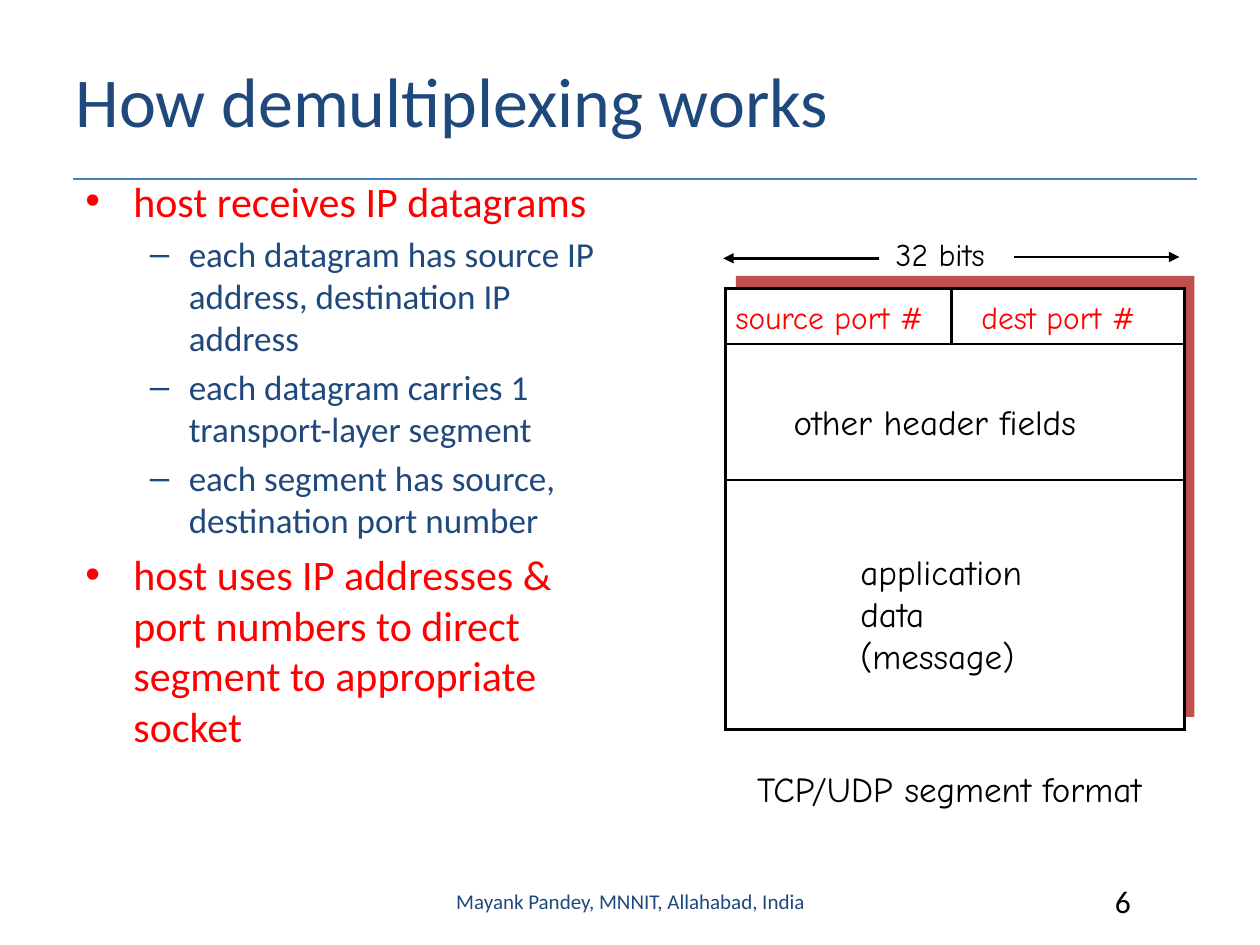
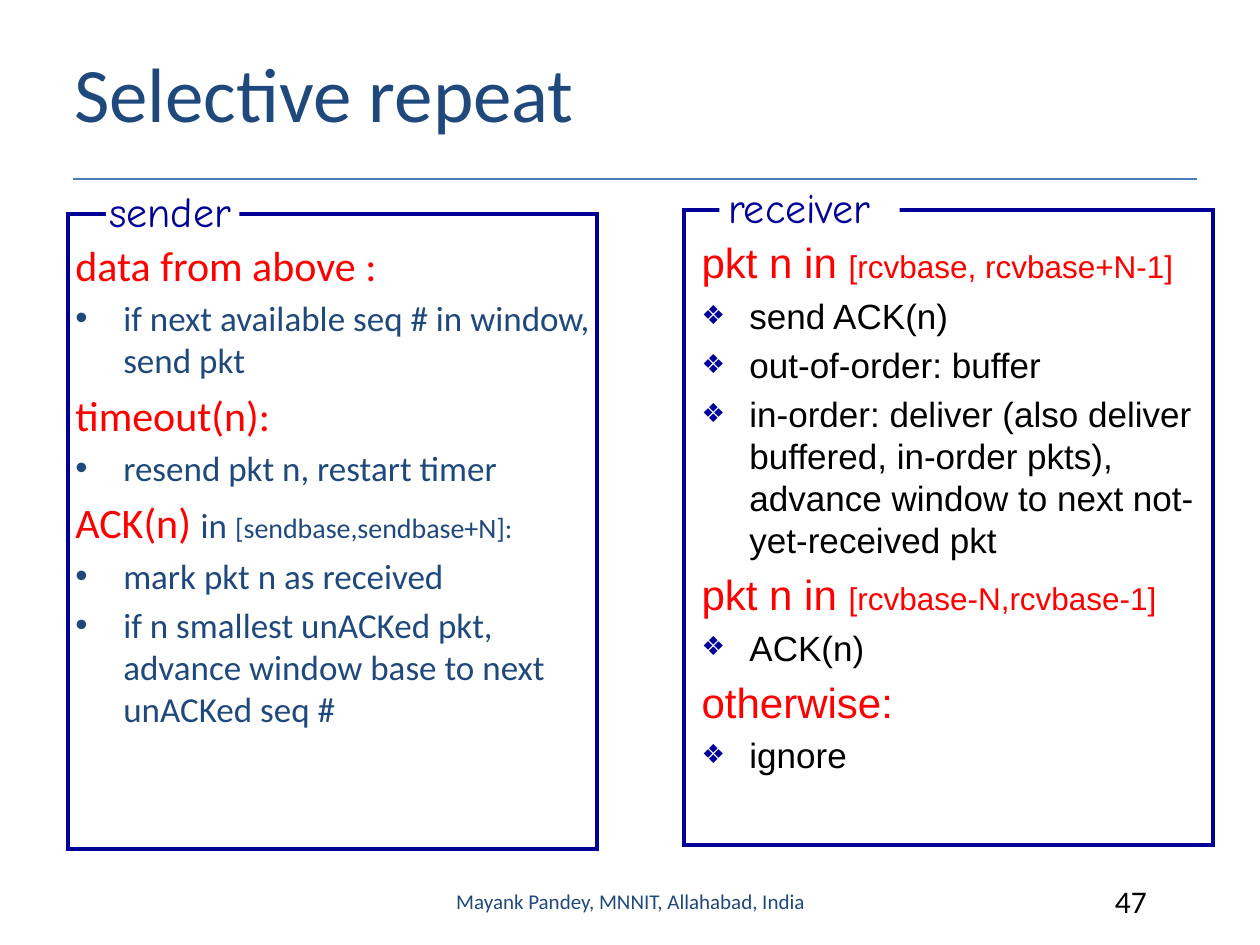
from lxml.etree import SubElement
from pptx import Presentation
from pptx.dml.color import RGBColor
from pptx.enum.shapes import MSO_CONNECTOR, MSO_SHAPE
from pptx.enum.text import MSO_ANCHOR as Anchor, MSO_AUTO_SIZE as AutoSize, PP_ALIGN as Align
from pptx.oxml.ns import qn
from pptx.util import Emu, Pt

PX = 9144  # 100 px to the inch
COLORS = {k: RGBColor.from_string(v) for k, v in {
    "navy": "1F497D", "red": "FF0000", "black": "000000", "white": "FFFFFF",
    "rule": "4B7EBC", "brick": "C0504D", "frame": "000099"}.items()}
SANS, HAND = "Calibri", "Comic Neue"

# Paragraph styles
HEADING = dict(size=24, color="red", left=38, hang=38)
POINT = HEADING | dict(bullet="•")
DASH = dict(size=20, color="navy", left=82, hang=31, bullet="–")
SENDER_STEP = POINT | dict(size=20, color="navy")
RECEIVER_STEP = HEADING | dict(size=20, color="black", bullet="❖",
                               bullet_color="frame", bullet_scale=75)


def text(s, box, paras, size=20, color="black", font=SANS, align=Align.LEFT,
         anchor=Anchor.TOP, wrap=True, shape=None):
    """Fill a text box, or the given shape, with strings or (style, run, ...) paragraphs.

    A run is a string, or (string, size, colour) where it departs from its style.
    """
    box = [Emu(v * PX) for v in box]
    if shape is None:
        shape = s.shapes.add_textbox(*box)
    shape.left, shape.top, shape.width, shape.height = box
    tf = shape.text_frame
    tf.word_wrap = wrap
    tf.auto_size = AutoSize.NONE if wrap else AutoSize.SHAPE_TO_FIT_TEXT
    tf.vertical_anchor = anchor
    for i, para in enumerate(paras):
        style, *runs = ({}, para) if isinstance(para, str) else para
        p = tf.add_paragraph() if i else tf.paragraphs[0]
        p.alignment = align
        para_size = style.get("size", size)
        para_color = style.get("color", color)
        if style:
            pPr = p._p.get_or_add_pPr()
            pPr.set("marL", str(style["left"] * PX))
            pPr.set("indent", str(-style["hang"] * PX))
            if i:
                p.space_before = Pt(para_size * 0.2)
            if "bullet_color" in style:
                clr = SubElement(pPr, qn("a:buClr"))
                SubElement(clr, qn("a:srgbClr"), val=str(COLORS[style["bullet_color"]]))
                SubElement(pPr, qn("a:buSzPct"), val=str(style["bullet_scale"] * 1000))
            if "bullet" in style:
                SubElement(pPr, qn("a:buFont"), typeface="Arial")
                SubElement(pPr, qn("a:buChar"), char=style["bullet"])
            else:
                SubElement(pPr, qn("a:buNone"))
        for run in runs:
            words, run_size, run_color = (
                (run, para_size, para_color) if isinstance(run, str) else run)
            r = p.add_run()
            r.text = words
            r.font.name = font
            r.font.size = Pt(run_size)
            r.font.color.rgb = COLORS[run_color]


def line(s, x1, y1, x2, y2, color="black", width=1.5, arrow=False):
    c = s.shapes.add_connector(MSO_CONNECTOR.STRAIGHT, *(Emu(v * PX) for v in (x1, y1, x2, y2)))
    c.line.color.rgb = COLORS[color]
    c.line.width = Pt(width)
    if arrow:
        SubElement(c.line._get_or_add_ln(), qn("a:tailEnd"), type="triangle")
    SubElement(c._element.spPr, qn("a:effectLst"))


prs = Presentation()
prs.slide_width, prs.slide_height = Emu(1000 * PX), Emu(750 * PX)

# What both slides share: rule, title, footer, number
slides = []
for title, title_box, title_size, number in [
        ("How demultiplexing works", (50, 25, 900, 108), 40, "6"),
        ("Selective repeat", (49, 27, 850, 92), 44, "47")]:
    s = prs.slides.add_slide(prs.slide_layouts[5])
    line(s, 58, 142, 950, 142, "rule", 0.75)
    text(s, title_box, [title], title_size, "navy", anchor=Anchor.MIDDLE, shape=s.shapes.title)
    text(s, (342, 695, 317, 40), ["Mayank Pandey, MNNIT, Allahabad, India"], 12, "navy",
         align=Align.CENTER, anchor=Anchor.MIDDLE)
    text(s, (875, 695, 75, 40), [number], 18)
    slides.append(s)
demux, repeat = slides

# Slide 1: bullets on the left, segment format on the right
text(demux, (58, 134, 445, 305), [
    (POINT, "host receives IP datagrams"),
    (DASH, "each datagram has source IP address, destination IP address"),
    (DASH, "each datagram carries 1 transport-layer segment"),
    (DASH, "each segment has source, destination port number"),
    (POINT, "host uses IP addresses & port numbers to direct segment to appropriate socket")])

SEG_X, SEG_Y, SEG_W, SEG_H = 576, 229, 364, 350
for dx, dy, fill in [(8, -10, "brick"), (0, 0, "white")]:
    segment = demux.shapes.add_shape(
        MSO_SHAPE.RECTANGLE,
        *(Emu(v * PX) for v in (SEG_X + dx, SEG_Y + dy, SEG_W, SEG_H)))
    segment.shadow.inherit = False
    segment.fill.solid()
    segment.fill.fore_color.rgb = COLORS[fill]
    segment.line.fill.background()
segment.line.color.rgb = COLORS["black"]
segment.line.width = Pt(1.5)
SubElement(segment.line._get_or_add_ln(), qn("a:miter"), lim="800000")

for y in (273, 381):
    line(demux, SEG_X, y, SEG_X + SEG_W, y)
line(demux, 755, 273, 755, SEG_Y)
line(demux, 805, 204, 936, 204, arrow=True)
line(demux, 698, 205, 574, 205, arrow=True)

for box, words, size, color in [
        ((574, 232, 183, 40), ["source port #"], 18, "red"),
        ((769, 232, 159, 40), ["dest port #"], 18, "red"),
        ((701, 182, 104, 40), ["32 bits"], 18, "black"),
        ((620, 313, 274, 43), ["other header fields"], 20, "black"),
        ((673, 432, 158, 110), ["application", "data", "(message)"], 20, "black"),
        ((591, 604, 355, 43), ["TCP/UDP segment format"], 20, "black")]:
    text(demux, box, words, size, color, HAND, wrap=False)

# Slide 2: one framed panel for each side of the protocol
sender_rules = [
    (HEADING, "data from above :"),
    (SENDER_STEP, "if next available seq # in window, send pkt"),
    (HEADING, "timeout(n):"),
    (SENDER_STEP, "resend pkt n, restart timer"),
    (HEADING, "ACK(n) ", ("in ", 20, "navy"), ("[sendbase,sendbase+N]:", 16, "navy")),
    (SENDER_STEP, "mark pkt n as received"),
    (SENDER_STEP, "if n smallest unACKed pkt, advance window base to next unACKed seq #")]
receiver_rules = [
    (HEADING, "pkt n in ", ("[rcvbase, rcvbase+N-1]", 18, "red")),
    (RECEIVER_STEP, "send ACK(n)"),
    (RECEIVER_STEP, "out-of-order: buffer"),
    (RECEIVER_STEP, "in-order: deliver (also deliver buffered, in-order pkts), "
                    "advance window to next not-yet-received pkt"),
    (HEADING, "pkt n in ", ("[rcvbase-N,rcvbase-1]", 18, "red")),
    (RECEIVER_STEP, "ACK(n)"),
    (HEADING, "otherwise:"),
    (RECEIVER_STEP, "ignore")]

for name, name_box, gap_box, frame_xy, rules, rules_box, font in [
        ("sender", (77, 142, 126, 50), (84, 152, 106, 31), (54, 170),
         sender_rules, (50, 185, 442, 495), SANS),
        ("receiver", (568, 139, 149, 50), (571, 152, 143, 31), (543, 167),
         receiver_rules, (547, 183, 417, 508), "Arial")]:
    text(repeat, rules_box, rules, font=font)
    frame, gap = (
        repeat.shapes.add_shape(MSO_SHAPE.RECTANGLE, *(Emu(v * PX) for v in box))
        for box in ((*frame_xy, 420, 504), gap_box))
    frame.shadow.inherit = gap.shadow.inherit = False
    frame.fill.background()
    frame.line.color.rgb = COLORS["frame"]
    frame.line.width = Pt(2.25)
    SubElement(frame.line._get_or_add_ln(), qn("a:miter"), lim="800000")
    gap.fill.solid()
    gap.fill.fore_color.rgb = COLORS["white"]
    gap.line.fill.background()
    text(repeat, name_box, [name], 24, "frame", HAND, wrap=False)

prs.save("out.pptx")
